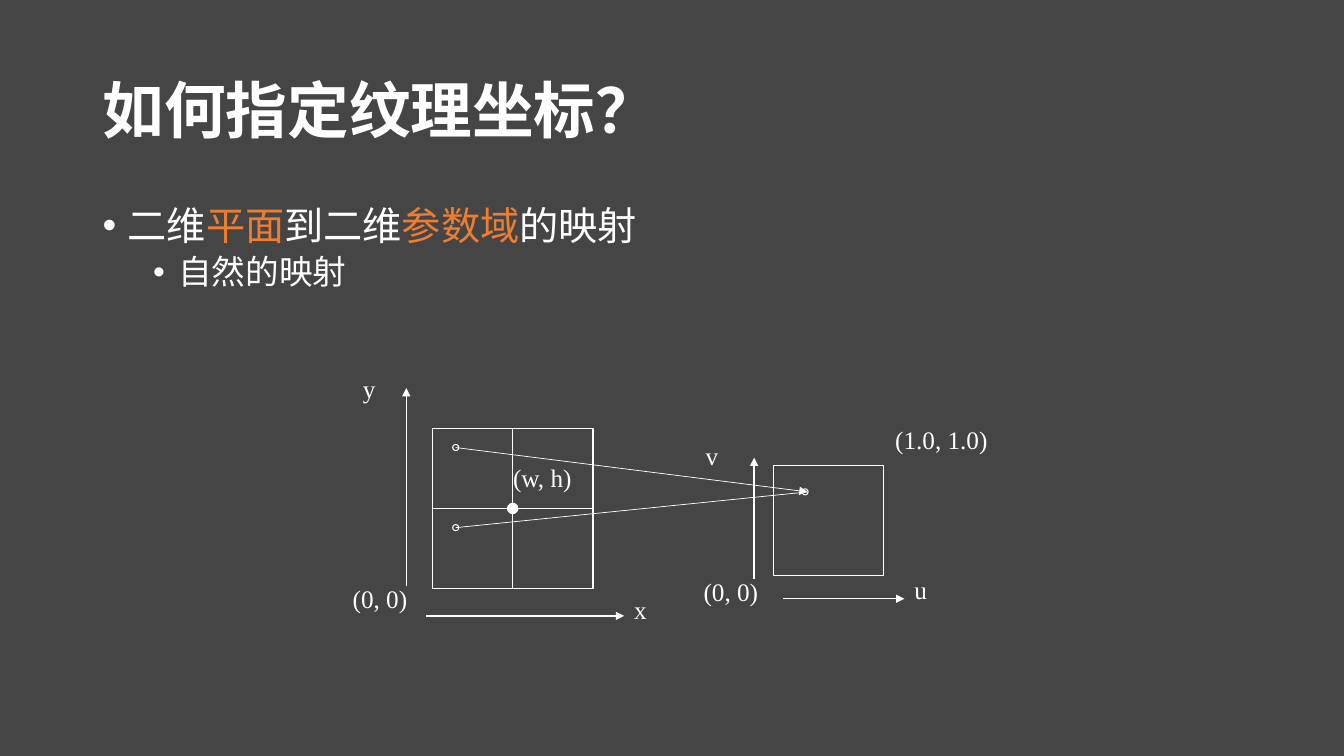
from itertools import product
from typing import NamedTuple

from lxml.etree import SubElement
from pptx import Presentation
from pptx.dml.color import RGBColor
from pptx.enum.shapes import MSO_CONNECTOR, MSO_SHAPE
from pptx.enum.text import MSO_ANCHOR, MSO_AUTO_SIZE
from pptx.oxml.ns import qn
from pptx.util import Inches, Pt

CELL = 0.1  # inches per grid column and row
WHITE, ORANGE, CHARCOAL = "FFFFFF", "ED7D31", "454545"
HEADING_FONT, LABEL_FONT = "Noto Sans CJK SC", "Times New Roman"


class Point(NamedTuple):
    col: float
    row: float


class Label(NamedTuple):
    text: str
    corner: Point
    cols: float


class Arrow(NamedTuple):
    start: Point
    end: Point
    weight: float = 1
    head: bool = True


class Bullet(NamedTuple):
    runs: list[tuple[str, str]]
    size: float
    indent: float
    space_before: float


PLANE_CORNER, TILE = Point(42.9, 42.5), 7.95
PLANE_CENTRE = Point(PLANE_CORNER.col + TILE, PLANE_CORNER.row + TILE)
PARAMETER_CORNER, PARAMETER_SIDE = Point(76.7, 46.2), 10.9
UPPER_SAMPLE = Point(45.2, 44.4)
LOWER_SAMPLE = Point(UPPER_SAMPLE.col, UPPER_SAMPLE.row + TILE)
MAPPED_SAMPLE = Point(79.85, 48.8)

AXES = [
    Arrow(Point(40.3, 58.1), Point(40.3, 38.5)),
    Arrow(Point(42.3, 61.1), Point(61.9, 61.1)),
    Arrow(Point(74.8, 57.4), Point(74.8, 45.4)),
    Arrow(Point(77.7, 59.4), Point(89.7, 59.4)),
]
MAPPINGS = [
    Arrow(UPPER_SAMPLE, Point(80.1, 48.8), 0.5),
    Arrow(LOWER_SAMPLE, Point(80.1, 48.8), 0.5, head=False),
]
LABELS = [
    Label("y", Point(35, 36.5), 3.9),
    Label("x", Point(61.9, 58.5), 3.9),
    Label("(w, h)", Point(49.9, 45.4), 10),
    Label("(0, 0)", Point(34, 57.4), 9.6),
    Label("v", Point(69, 43.2), 3.9),
    Label("u", Point(89.7, 56.5), 4.1),
    Label("(0, 0)", Point(68.8, 56.7), 9.6),
    Label("(1.0, 1.0)", Point(87.8, 41.6), 14.2),
]
BULLETS = [
    Bullet([("二维", WHITE), ("平面", ORANGE), ("到二维", WHITE),
            ("参数域", ORANGE), ("的映射", WHITE)], 28, 0.25, 0),
    Bullet([("自然的映射", WHITE)], 24, 0.75, 5),
]


def grid(cells: float) -> int:
    return Inches(cells * CELL)


def rgb(color: str) -> RGBColor:
    return RGBColor.from_string(color)


def add_run(paragraph, text: str, *, size: float, font: str = HEADING_FONT,
            color: str = WHITE, bold: bool = False) -> None:
    run = paragraph.add_run()
    run.text = text
    run.font.size = Pt(size)
    run.font.bold = bold
    run.font.color.rgb = rgb(color)
    run.font.name = font
    SubElement(run.font._element, qn("a:ea"), typeface=font)


def add_frame(slide, corner: Point, cols: float, rows: float, *,
              wrap: bool = True, anchor=MSO_ANCHOR.TOP):
    box = slide.shapes.add_textbox(*map(grid, (*corner, cols, rows)))
    frame = box.text_frame
    frame.word_wrap = wrap
    frame.auto_size = MSO_AUTO_SIZE.NONE if wrap else MSO_AUTO_SIZE.SHAPE_TO_FIT_TEXT
    frame.vertical_anchor = anchor
    return frame


def add_outline(slide, kind, corner: Point, side: float, *,
                weight: float = 0.75, fill: str | None = None) -> None:
    shape = slide.shapes.add_shape(kind, *map(grid, (*corner, side, side)))
    shape.shadow.inherit = False
    if fill:
        shape.fill.solid()
        shape.fill.fore_color.rgb = rgb(fill)
    else:
        shape.fill.background()
    shape.line.color.rgb = rgb(WHITE)
    shape.line.width = Pt(weight)


def add_dot(slide, centre: Point, diameter: float, **style) -> None:
    corner = Point(centre.col - diameter / 2, centre.row - diameter / 2)
    add_outline(slide, MSO_SHAPE.OVAL, corner, diameter, **style)


def add_arrow(slide, arrow: Arrow) -> None:
    connector = slide.shapes.add_connector(
        MSO_CONNECTOR.STRAIGHT, *map(grid, (*arrow.start, *arrow.end)))
    connector.line.color.rgb = rgb(WHITE)
    connector.line.width = Pt(arrow.weight)
    if arrow.head:
        SubElement(connector.line._get_or_add_ln(), qn("a:tailEnd"), type="triangle")
    SubElement(connector._element.spPr, qn("a:effectLst"))


def add_bullet(paragraph, bullet: Bullet) -> None:
    paragraph.line_spacing = 0.9
    paragraph.space_before = Pt(bullet.space_before)
    properties = paragraph._p.get_or_add_pPr()
    properties.set("marL", str(Inches(bullet.indent)))
    properties.set("indent", str(-Inches(0.25)))
    SubElement(properties, qn("a:buFont"), typeface="Arial")
    SubElement(properties, qn("a:buChar"), char="•")
    for text, color in bullet.runs:
        add_run(paragraph, text, size=bullet.size, color=color)


def add_headings(slide) -> None:
    title = add_frame(slide, Point(9.2, 4), 115, 14.5, anchor=MSO_ANCHOR.MIDDLE)
    title.paragraphs[0].line_spacing = 0.9
    add_run(title.paragraphs[0], "如何指定纹理坐标？", size=44, bold=True)
    body = add_frame(slide, Point(9.2, 20), 115, 47.6)
    for index, bullet in enumerate(BULLETS):
        add_bullet(body.add_paragraph() if index else body.paragraphs[0], bullet)


def add_diagram(slide) -> None:
    for axis in AXES:
        add_arrow(slide, axis)
    for row, col in product(range(2), repeat=2):
        corner = Point(PLANE_CORNER.col + col * TILE, PLANE_CORNER.row + row * TILE)
        add_outline(slide, MSO_SHAPE.RECTANGLE, corner, TILE)
    add_outline(slide, MSO_SHAPE.RECTANGLE, PLANE_CORNER, 2 * TILE, weight=1)
    add_dot(slide, PLANE_CENTRE, 1, weight=1, fill=WHITE)
    add_outline(slide, MSO_SHAPE.RECTANGLE, PARAMETER_CORNER, PARAMETER_SIDE, weight=1)
    for label in LABELS:
        frame = add_frame(slide, label.corner, label.cols, 4.8, wrap=False)
        add_run(frame.paragraphs[0], label.text, size=18, font=LABEL_FONT)
    for sample in (LOWER_SAMPLE, UPPER_SAMPLE, MAPPED_SAMPLE):
        add_dot(slide, sample, 0.6)
    for mapping in MAPPINGS:
        add_arrow(slide, mapping)


def main() -> None:
    deck = Presentation()
    deck.slide_width, deck.slide_height = Inches(13.33), Inches(7.5)
    slide = deck.slides.add_slide(deck.slide_layouts[6])
    slide.background.fill.solid()
    slide.background.fill.fore_color.rgb = rgb(CHARCOAL)
    add_headings(slide)
    add_diagram(slide)
    deck.save("out.pptx")


if __name__ == "__main__":
    main()
